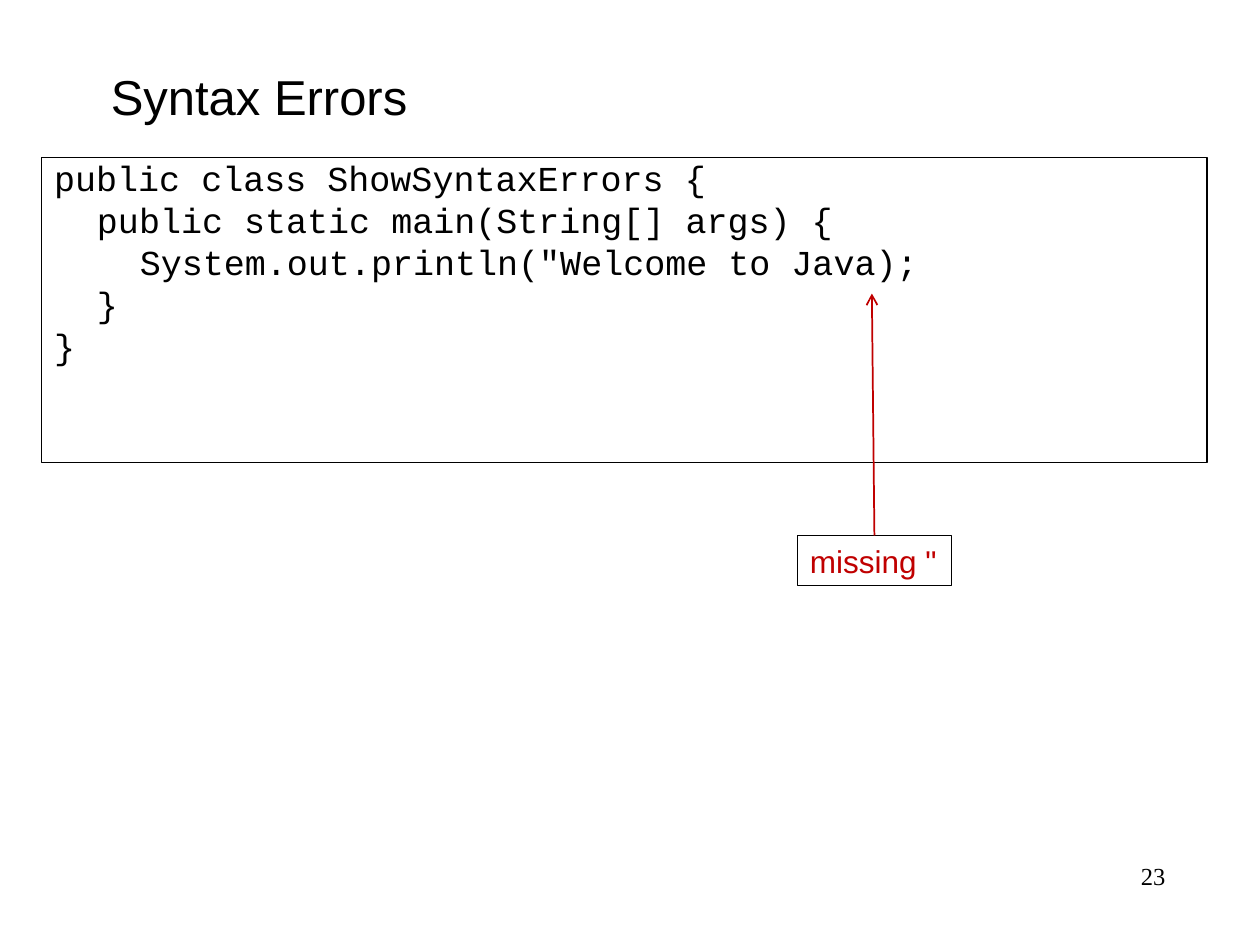
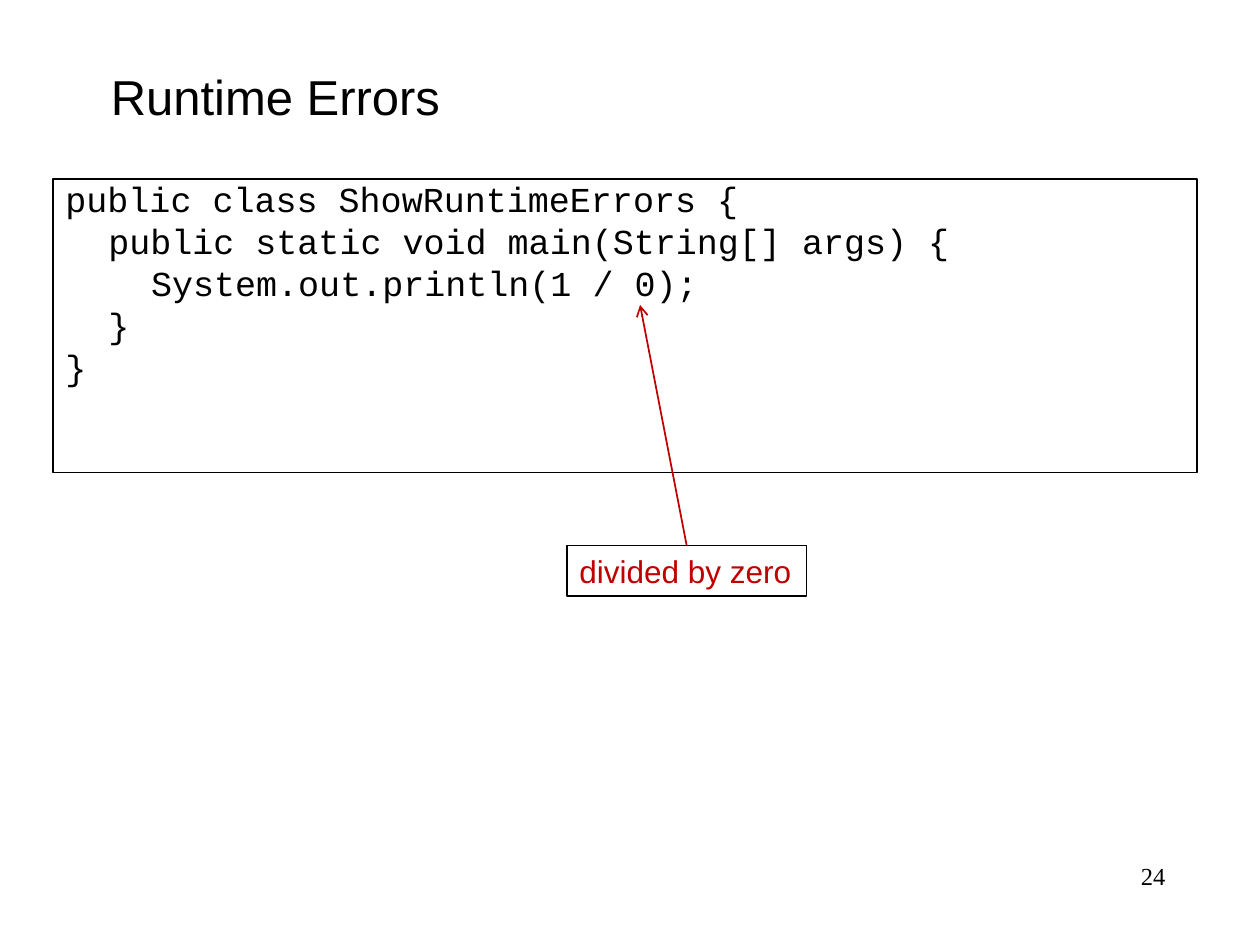
from lxml.etree import SubElement
from pptx import Presentation
from pptx.dml.color import RGBColor
from pptx.enum.shapes import MSO_CONNECTOR, MSO_SHAPE
from pptx.enum.text import MSO_ANCHOR, PP_ALIGN
from pptx.oxml.ns import qn
from pptx.util import Inches, Pt

# Content: code lines are (indent level, text); places are in inches
FIRST_PAGE = 23
LESSONS = [
    {
        "title": "Syntax Errors",
        "code": [
            (0, "public class ShowSyntaxErrors {"),
            (1, "public static main(String[] args) {"),
            (2, "System.out.println(\"Welcome to Java);"),
            (1, "}"),
            (0, "}"),
        ],
        "frame": (0.33, 1.25, 9.25, 2.42),
        "mistake": "missing \"",
        "label": (6.33, 4.25, 1.22, 0.4),
        "arrow_tip": (6.92, 2.33),
    },
    {
        "title": "Runtime Errors",
        "code": [
            (0, "public class ShowRuntimeErrors {"),
            (1, "public static void main(String[] args) {"),
            (2, "System.out.println(1 / 0);"),
            (1, "}"),
            (0, "}"),
        ],
        "frame": (0.42, 1.42, 9.08, 2.33),
        "mistake": "divided by zero",
        "label": (4.5, 4.33, 1.9, 0.4),
        "arrow_tip": (5.08, 2.42),
    },
]

# Shared style
COLORS = {"ink": "000000", "mistake": "C00000"}
TITLE_PLACE = (0.75, 0.17, 8.5, 1.08)
PAGE_PLACE = (7.17, 6.83, 2.08, 0.5)
CODE_SIZE = (7.2, 1.69)
CODE_INDENT = 0.34


def color(name):
    return RGBColor.from_string(COLORS[name])


def inches(values):
    return [Inches(value) for value in values]


def set_frame(part, left=0, top=0, anchor=MSO_ANCHOR.TOP):
    frame = part.text_frame
    frame.word_wrap = True
    frame.margin_left, frame.margin_top = Inches(left), Inches(top)
    frame.margin_right = frame.margin_bottom = 0
    frame.vertical_anchor = anchor
    return frame


def write(paragraph, text, font, size, ink="ink", align=PP_ALIGN.LEFT):
    paragraph.alignment = align
    run = paragraph.add_run()
    run.text = text
    run.font.name, run.font.size = font, Pt(size)
    run.font.color.rgb = color(ink)


def add_outline(slide, place):
    box = slide.shapes.add_shape(MSO_SHAPE.RECTANGLE, *inches(place))
    box.shadow.inherit = False
    box.fill.background()
    box.line.color.rgb = color("ink")
    box.line.width = Pt(0.75)
    return box


def add_title(slide, text):
    title = slide.shapes.title
    title.left, title.top, title.width, title.height = inches(TITLE_PLACE)
    frame = set_frame(title, 0.13, 0.1, MSO_ANCHOR.MIDDLE)
    write(frame.paragraphs[0], text, "Arial", 28)


def add_code(slide, lines, place):
    add_outline(slide, place)
    corner = (place[0] + 0.09, place[1] - 0.04)
    listing = slide.shapes.add_textbox(*inches(corner + CODE_SIZE))
    frame = set_frame(listing, 0.01, 0.03)
    for number, (level, text) in enumerate(lines):
        paragraph = frame.add_paragraph() if number else frame.paragraphs[0]
        properties = paragraph._p.get_or_add_pPr()
        properties.set("marL", str(Inches(level * CODE_INDENT)))
        write(paragraph, text, "Courier New", 20)


def add_mistake(slide, text, place, tip):
    label = add_outline(slide, place)
    frame = set_frame(label, 0.1, anchor=MSO_ANCHOR.MIDDLE)
    write(frame.paragraphs[0], text, "Arial", 18, "mistake")
    # Arrow from the top of the label to the faulty code
    start = (place[0] + place[2] / 2, place[1])
    arrow = slide.shapes.add_connector(MSO_CONNECTOR.STRAIGHT, *inches(start + tip))
    arrow.begin_connect(label, 0)
    arrow.line.color.rgb = color("mistake")
    arrow.line.width = Pt(1)
    SubElement(arrow.line._get_or_add_ln(), qn("a:tailEnd"), type="arrow")
    SubElement(arrow._element.spPr, qn("a:effectLst"))


def add_page_number(slide, number):
    page = slide.shapes.add_textbox(*inches(PAGE_PLACE))
    write(set_frame(page).paragraphs[0], str(number), "Times New Roman", 14,
          align=PP_ALIGN.RIGHT)


def main():
    deck = Presentation()
    deck.slide_width, deck.slide_height = Inches(10), Inches(7.5)
    title_only = deck.slide_layouts[5]
    for number, lesson in enumerate(LESSONS, FIRST_PAGE):
        slide = deck.slides.add_slide(title_only)
        add_title(slide, lesson["title"])
        add_code(slide, lesson["code"], lesson["frame"])
        add_mistake(slide, lesson["mistake"], lesson["label"], lesson["arrow_tip"])
        add_page_number(slide, number)
    deck.save("out.pptx")


if __name__ == "__main__":
    main()
